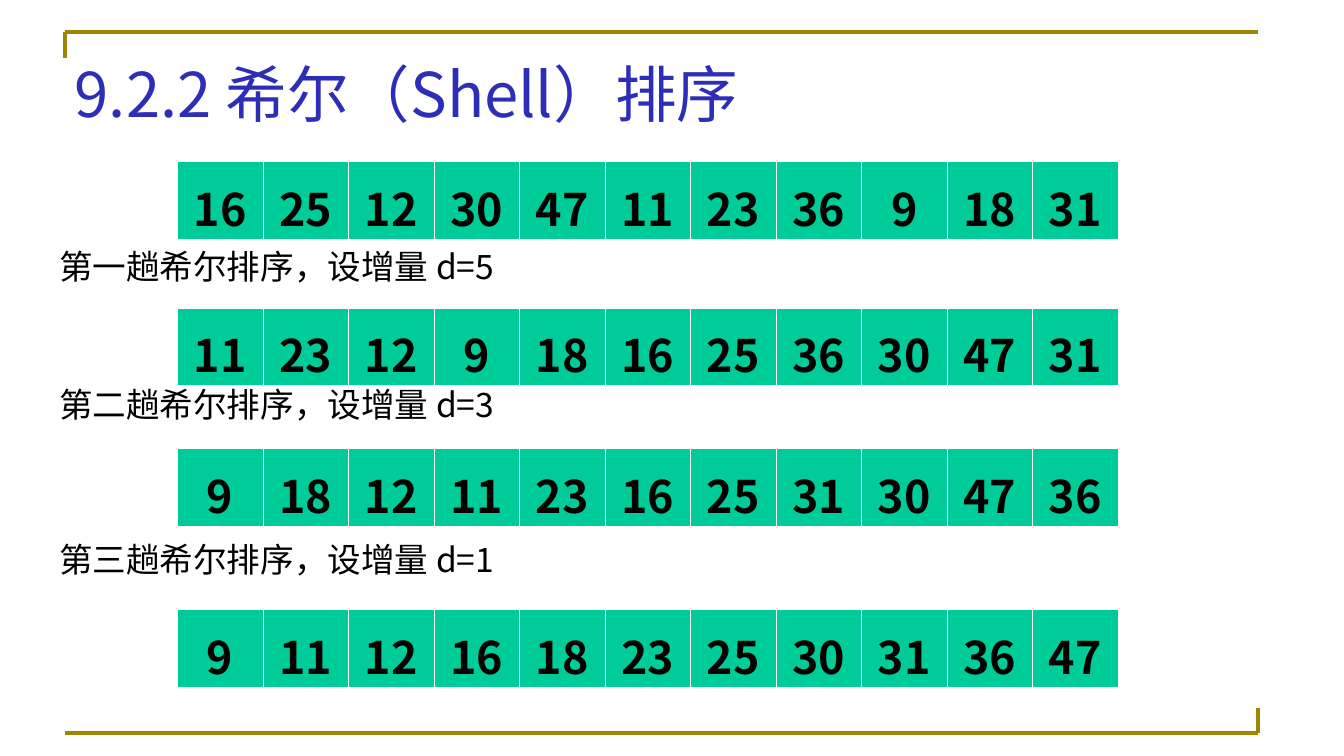
from pptx import Presentation, util as u
from pptx.dml import color
from pptx.enum import shapes, text
from pptx.oxml import xmlchemy

FONT = "Noto Sans CJK SC"
GOLD, BLUE, GREEN, BLACK, WHITE = "9E8600", "2D2DB7", "00CC99", "000000", "FFFFFF"


def rgb(value):
    return color.RGBColor.from_string(value)


def add_child(parent, tag, **attributes):
    child = xmlchemy.OxmlElement(tag)
    for name, value in attributes.items():
        child.set(name, value)
    parent.append(child)
    return child


class Deck:
    def __init__(self):
        self.prs = Presentation()
        self.prs.slide_width, self.prs.slide_height = u.Cm(33.88), u.Cm(19.05)
        self.slide = self.prs.slides.add_slide(self.prs.slide_layouts[5])

    def label(self, frame, wording, size, hue, spacing, bold=False, align=text.PP_ALIGN.LEFT):
        paragraph = frame.paragraphs[0]
        paragraph.alignment = align
        paragraph.line_spacing = spacing
        run = paragraph.add_run()
        run.text = wording
        run.font.size = u.Pt(size)
        run.font.bold = bold
        run.font.name = FONT
        run.font.color.rgb = rgb(hue)
        add_child(run.font._element, "a:ea", typeface=FONT)

    def title(self, wording, left, top, width, height):
        heading = self.slide.shapes.title
        heading.left, heading.top = u.Cm(left), u.Cm(top)
        heading.width, heading.height = u.Cm(width), u.Cm(height)
        heading.text_frame.vertical_anchor = text.MSO_ANCHOR.TOP
        heading.text_frame.auto_size = text.MSO_AUTO_SIZE.NONE
        self.label(heading.text_frame, wording, 44, BLUE, 0.93)

    def caption(self, wording, top):
        box = self.slide.shapes.add_textbox(u.Cm(1.24), u.Cm(top), u.Cm(14.15), u.Cm(1.19))
        box.text_frame.word_wrap = True
        self.label(box.text_frame, wording, 24, BLACK, 0.93)

    def rule(self, x1, y1, x2, y2):
        edge = self.slide.shapes.add_connector(
            shapes.MSO_CONNECTOR.STRAIGHT, u.Cm(x1), u.Cm(y1), u.Cm(x2), u.Cm(y2))
        edge.line.color.rgb = rgb(GOLD)
        edge.line.width = u.Pt(2.83)
        add_child(edge._element.spPr, "a:effectLst")

    def border(self, cell):
        properties = cell._tc.get_or_add_tcPr()
        for side, points in (("L", 0.23), ("R", 0.23), ("T", 0.23), ("B", 0.75)):
            line = add_child(properties, f"a:ln{side}", w=str(u.Pt(points)))
            add_child(add_child(line, "a:solidFill"), "a:srgbClr", val=WHITE)

    def sequence(self, numbers, top):
        frame = self.slide.shapes.add_table(
            1, len(numbers), u.Cm(4.47), u.Cm(top), u.Cm(23.72), u.Cm(1.77))
        table = frame.table
        table.first_row = table.horz_banding = False
        for cell, number in zip(table.iter_cells(), numbers):
            cell.margin_top, cell.margin_bottom = u.Cm(0.13), 0
            self.border(cell)
            cell.fill.solid()
            cell.fill.fore_color.rgb = rgb(GREEN)
            self.label(cell.text_frame, str(number), 32, BLACK, 1.12, True, text.PP_ALIGN.CENTER)


def main():
    deck = Deck()
    left, right, top, bottom, tick = 1.63, 31.72, 0.81, 18.47, 0.64
    deck.rule(left, top, right, top)
    deck.rule(left, top, left, top + tick)
    deck.rule(left, bottom, right, bottom)
    deck.rule(right, bottom - tick, right, bottom)
    deck.title("9.2.2 希尔（Shell）排序", 1.63, 1.45, 27.03, 1.98)

    sequences = (
        (4.07, (16, 25, 12, 30, 47, 11, 23, 36, 9, 18, 31)),
        (7.76, (11, 23, 12, 9, 18, 16, 25, 36, 30, 47, 31)),
        (11.29, (9, 18, 12, 11, 23, 16, 25, 31, 30, 47, 36)),
        (15.35, (9, 11, 12, 16, 18, 23, 25, 30, 31, 36, 47)),
    )
    for y, numbers in sequences:
        deck.sequence(numbers, y)

    for y, ordinal, gap in ((6.17, "一", 5), (9.65, "二", 3), (13.54, "三", 1)):
        deck.caption(f"第{ordinal}趟希尔排序，设增量 d={gap}", y)

    deck.prs.save("out.pptx")


if __name__ == "__main__":
    main()
